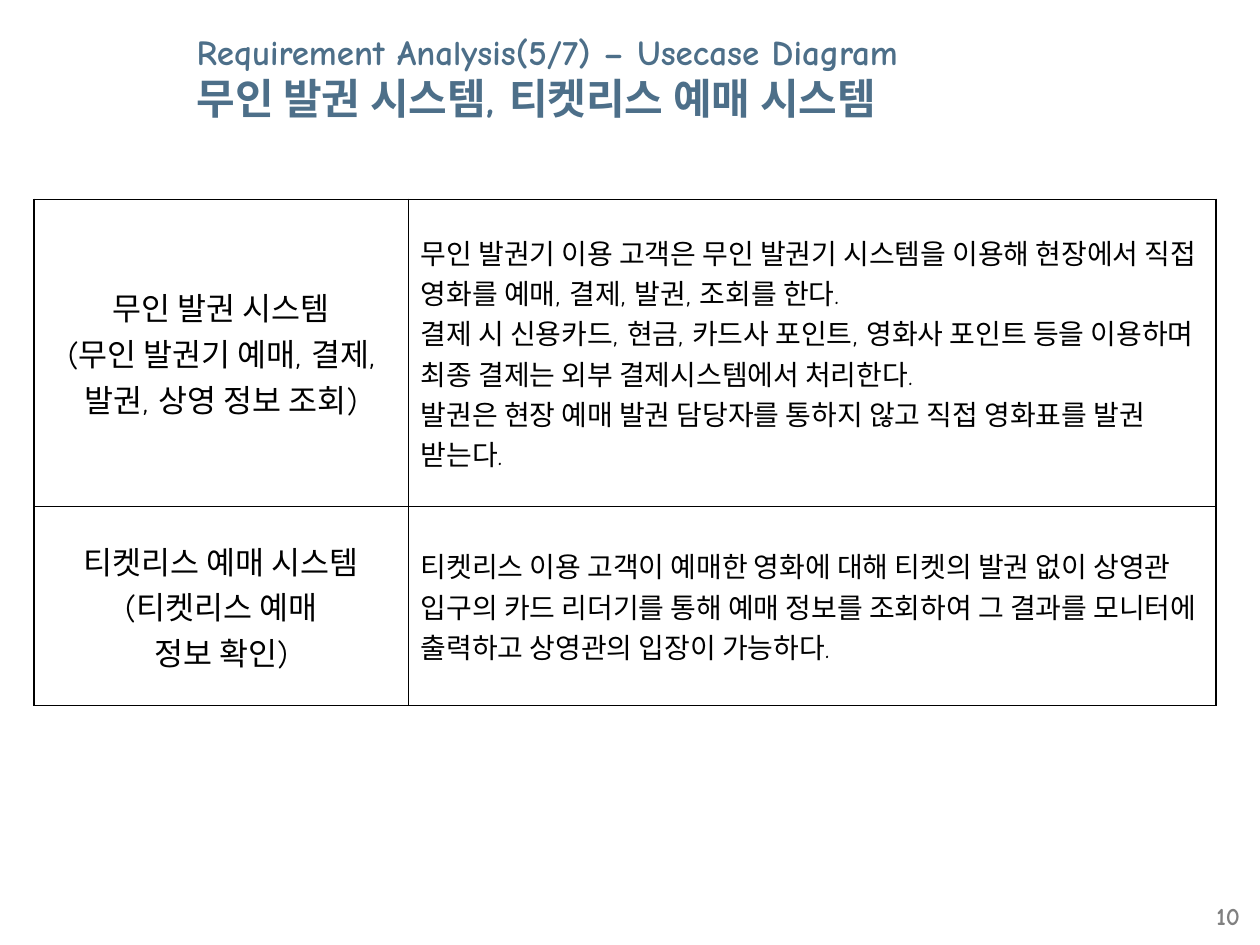
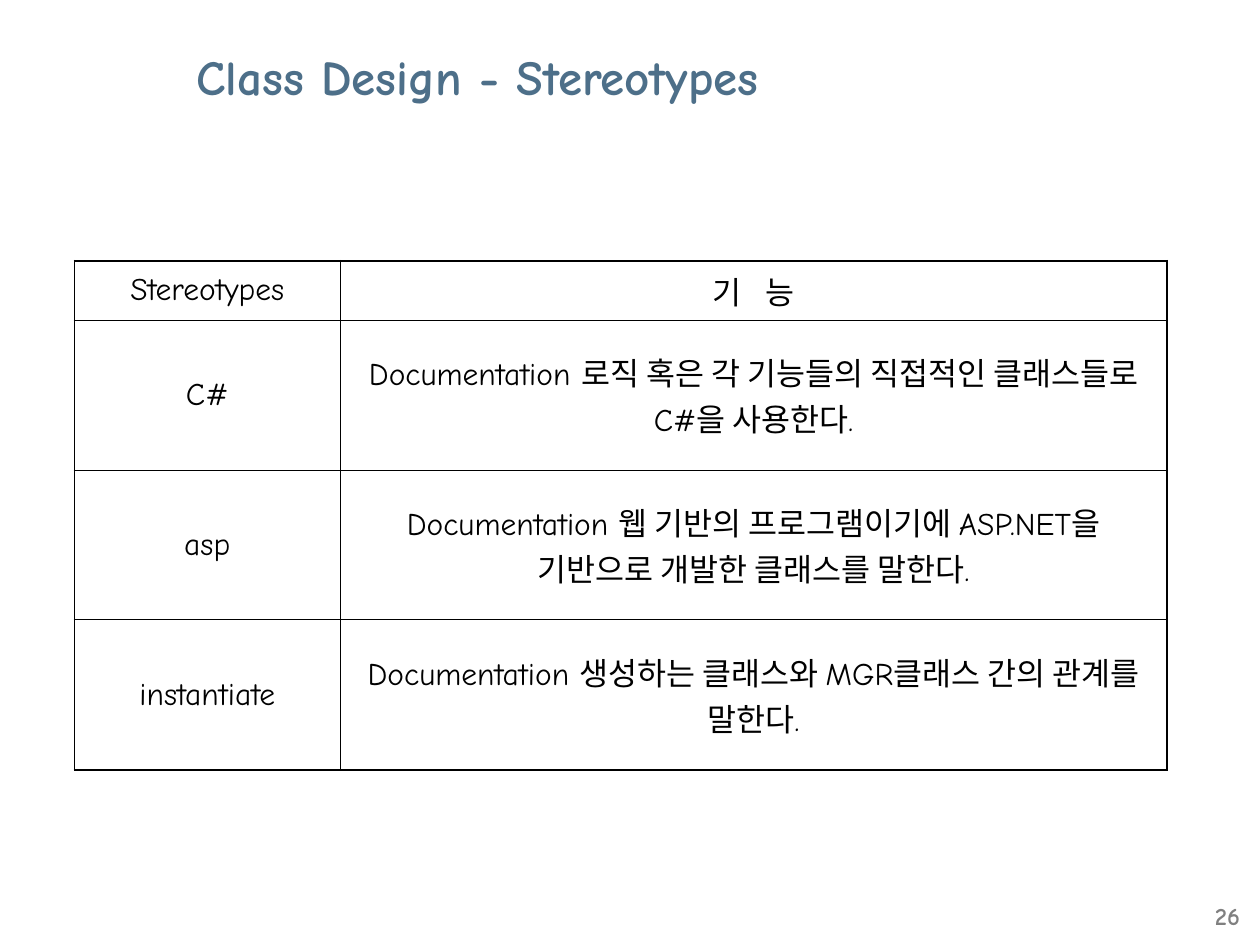
"""Build two slides with a title, a ruled table and a page number each."""
from lxml.etree import SubElement
from pptx import Presentation
from pptx.dml.color import RGBColor
from pptx.enum.text import MSO_ANCHOR, MSO_AUTO_SIZE, PP_ALIGN
from pptx.oxml.ns import qn
from pptx.util import Inches, Pt

COLORS = {"title": "4D6F89", "text": "000000", "rule": "000000", "page": "808080"}
FONT = "Comic Neue"
THIN, THICK = 0.45, 1.08

pages = [
    {
        "number": "10",
        "title": [
            ("Requirement Analysis(5/7) – Usecase Diagram", 20),
            ("무인 발권 시스템, 티켓리스 예매 시스템", 24),
        ],
        "corner": (0.27, 1.58),
        "columns": [2.97, 6.41],
        "heights": [2.44, 1.58],
        "sizes": [18, 16],
        "alignments": [PP_ALIGN.CENTER, PP_ALIGN.LEFT],
        "top_rule": THIN,
        "row_rule": THICK,
        "space_before": {(1, 1): 4},
        "rows": [
            (
                "무인 발권 시스템\n(무인 발권기 예매, 결제, 발권, 상영 정보 조회)",
                "무인 발권기 이용 고객은 무인 발권기 시스템을 이용해 현장에서 직접 영화를 예매, 결제, 발권, 조회를 한다.\n"
                "결제 시 신용카드, 현금, 카드사 포인트, 영화사 포인트 등을 이용하며 최종 결제는 외부 결제시스템에서 처리한다.\n"
                "발권은 현장 예매 발권 담당자를 통하지 않고 직접 영화표를 발권 받는다.",
            ),
            (
                "티켓리스 예매 시스템\n(티켓리스 예매\n정보 확인)",
                "티켓리스 이용 고객이 예매한 영화에 대해 티켓의 발권 없이 상영관 입구의 카드 리더기를 통해 "
                "예매 정보를 조회하여 그 결과를 모니터에 출력하고 상영관의 입장이 가능하다.",
            ),
        ],
    },
    {
        "number": "26",
        "title": [("Class Design - Stereotypes", 28)],
        "corner": (0.59, 2.07),
        "columns": [2.11, 6.56],
        "heights": [0.47, 1.19, 1.19, 1.19],
        "sizes": [18, 18],
        "alignments": [PP_ALIGN.CENTER, PP_ALIGN.CENTER],
        "top_rule": THICK,
        "row_rule": THIN,
        "space_before": {(3, 0): 4.5, (3, 1): 4.5},
        "rows": [
            ("Stereotypes", "기 능"),
            ("C#", "Documentation 로직 혹은 각 기능들의 직접적인 클래스들로 C#을 사용한다."),
            ("asp", "Documentation 웹 기반의 프로그램이기에 ASP.NET을 기반으로 개발한 클래스를 말한다."),
            ("instantiate", "Documentation 생성하는 클래스와 MGR클래스 간의 관계를 말한다."),
        ],
    },
]


def style_run(run, size, color, bold=False):
    run.font.name = FONT
    run.font.size = Pt(size)
    run.font.bold = bold
    run.font.color.rgb = RGBColor.from_string(COLORS[color])


def rule_cell(cell, widths):
    properties = cell._tc.get_or_add_tcPr()
    for side, width in zip(("lnL", "lnR", "lnT", "lnB"), widths):
        line = SubElement(properties, qn(f"a:{side}"), w=str(int(Pt(width))))
        fill = SubElement(line, qn("a:solidFill"))
        SubElement(fill, qn("a:srgbClr"), val=COLORS["rule"])


deck = Presentation()
deck.slide_width, deck.slide_height = Inches(10), Inches(7.5)

for page in pages:
    slide = deck.slides.add_slide(deck.slide_layouts[5])

    number = slide.shapes.add_textbox(Inches(7.61), Inches(7.1), Inches(2.33), Inches(0.36))
    number.text_frame.word_wrap = True
    number_line = number.text_frame.paragraphs[0]
    number_line.text = page["number"]
    number_line.alignment = PP_ALIGN.RIGHT
    style_run(number_line.runs[0], 14, "page", bold=True)

    title = slide.shapes.title
    title.left, title.top = Inches(1.46), Inches(0.13)
    title.width, title.height = Inches(8.54), Inches(0.95)
    title.text_frame.auto_size = MSO_AUTO_SIZE.NONE
    title.text_frame.vertical_anchor = MSO_ANCHOR.MIDDLE
    heading = title.text_frame.paragraphs[0]
    heading.text = "\v".join(text for text, size in page["title"])
    heading.alignment = PP_ALIGN.LEFT
    for run, (text, size) in zip(heading.runs, page["title"]):
        style_run(run, size, "title", bold=True)

    left, top = page["corner"]
    last_row, last_column = len(page["heights"]) - 1, len(page["columns"]) - 1
    table = slide.shapes.add_table(
        last_row + 1, last_column + 1, Inches(left), Inches(top),
        Inches(sum(page["columns"])), Inches(sum(page["heights"])),
    ).table
    table.first_row = table.horz_banding = False
    for column, width in zip(table.columns, page["columns"]):
        column.width = Inches(width)
    for row, height in zip(table.rows, page["heights"]):
        row.height = Inches(height)

    for r, texts in enumerate(page["rows"]):
        for c, text in enumerate(texts):
            cell = table.cell(r, c)
            cell.text_frame.text = text
            cell.vertical_anchor = MSO_ANCHOR.MIDDLE
            rule_cell(cell, (
                THICK if c == 0 else THIN,
                THICK if c == last_column else THIN,
                page["top_rule"] if r == 0 else page["row_rule"],
                THICK if r == last_row else page["row_rule"],
            ))
            cell.fill.background()
            for paragraph in cell.text_frame.paragraphs:
                paragraph.alignment = page["alignments"][c]
                paragraph.space_before = Pt(page["space_before"].get((r, c), 0))
                for run in paragraph.runs:
                    style_run(run, page["sizes"][c], "text")
                    if text == "기 능":
                        run._r.get_or_add_rPr().set("spc", "500")

deck.save("out.pptx")
